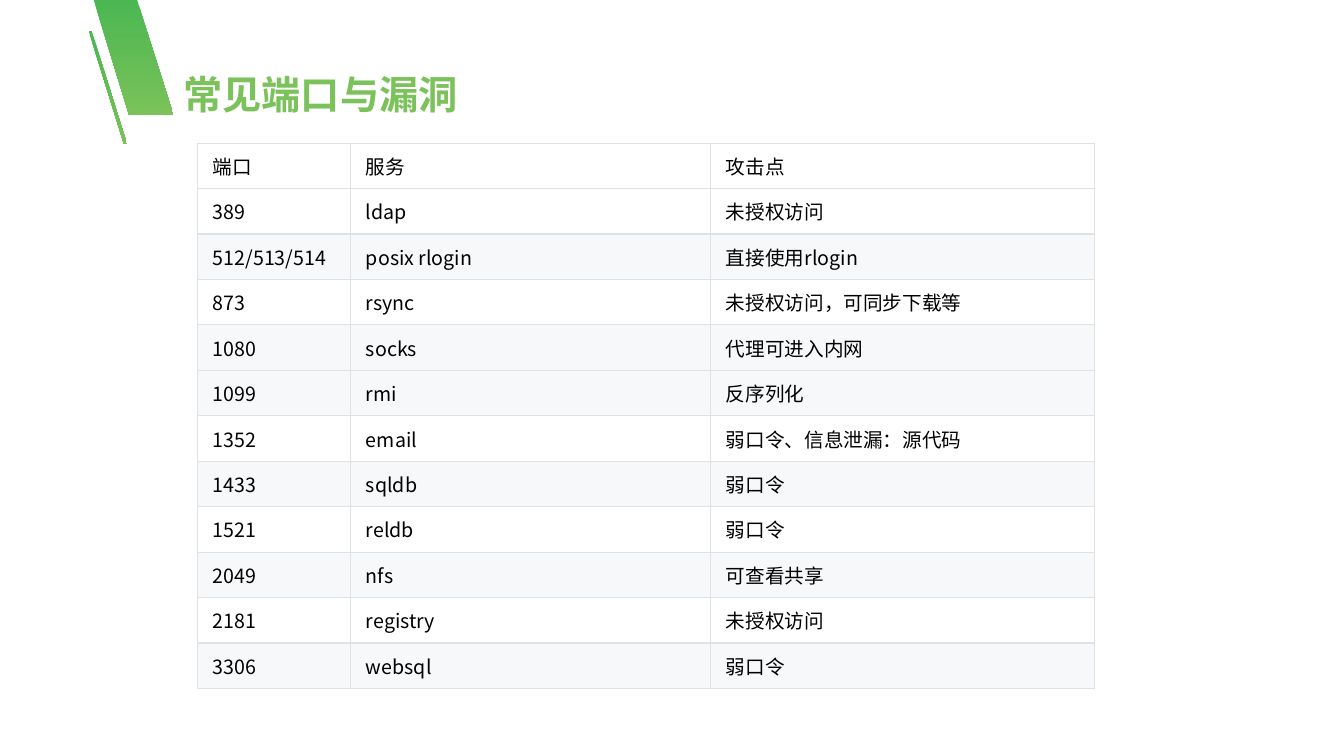
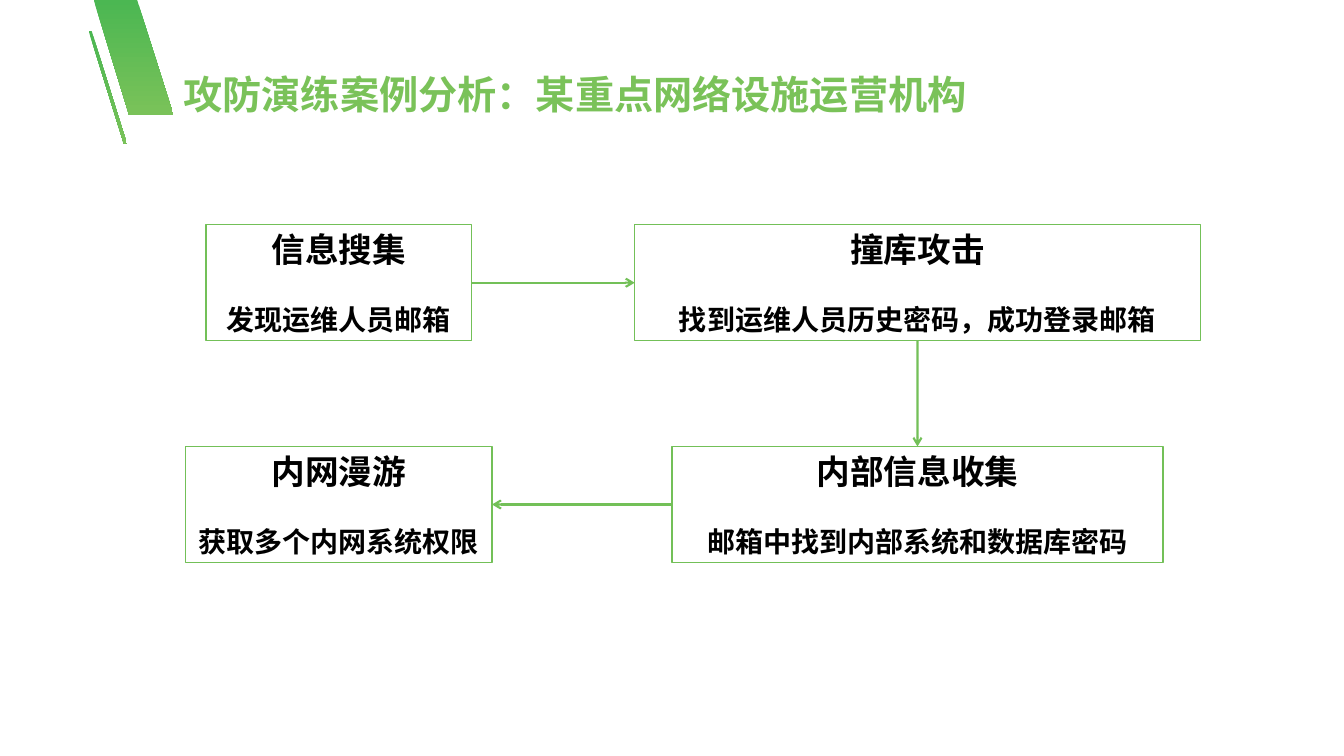
from lxml import etree
from pptx import Presentation
from pptx.dml.color import RGBColor
from pptx.enum import shapes, text
from pptx.oxml import ns
from pptx.util import Inches, Pt

FONT = "Noto Sans CJK SC"
TITLE_GREEN = "7AC259"
TOP_GREEN = "4BB752"
FLOW_GREEN = "73C058"
BLACK = "000000"
WHITE = "FFFFFF"
SHADE = "F6F8FA"
BORDER = "DFE2E5"

STRIPES = [
    [(1.72, 1.14), (1.36, 0), (0.93, 0), (1.28, 1.14)],
    [(1.26, 1.43), (0.91, 0.31), (0.88, 0.31), (1.23, 1.43)],
]

PORTS = [
    ("端口", "服务", "攻击点"),
    ("389", "ldap", "未授权访问"),
    ("512/513/514", "posix rlogin", "直接使用rlogin"),
    ("873", "rsync", "未授权访问，可同步下载等"),
    ("1080", "socks", "代理可进入内网"),
    ("1099", "rmi", "反序列化"),
    ("1352", "email", "弱口令、信息泄漏：源代码"),
    ("1433", "sqldb", "弱口令"),
    ("1521", "reldb", "弱口令"),
    ("2049", "nfs", "可查看共享"),
    ("2181", "registry", "未授权访问"),
    ("3306", "websql", "弱口令"),
]
SHADED_ROWS = {2, 4, 5, 7, 9, 11}
COLUMN_WIDTHS = [1.52, 3.57, 3.81]

LEFT_CENTER, RIGHT_CENTER = 3.36, 9.1
TOP_ROW, BOTTOM_ROW = 2.23, 4.43
BOX_HEIGHT = 1.15
# Center x, top, width, heading, detail
STEPS = [
    (LEFT_CENTER, TOP_ROW, 2.63, "信息搜集", "发现运维人员邮箱"),
    (RIGHT_CENTER, TOP_ROW, 5.61, "撞库攻击", "找到运维人员历史密码，成功登录邮箱"),
    (RIGHT_CENTER, BOTTOM_ROW, 4.87, "内部信息收集", "邮箱中找到内部系统和数据库密码"),
    (LEFT_CENTER, BOTTOM_ROW, 3.04, "内网漫游", "获取多个内网系统权限"),
]
# Connection sites: 0 top, 1 left, 2 bottom, 3 right
STEP_SITES = [(3, 1), (2, 0), (1, 3)]


def rgb(value):
    return RGBColor.from_string(value)


def add_xml(parent, tag, **attributes):
    return etree.SubElement(parent, ns.qn(tag), attributes)


def format_para(para, size, color=BLACK, bold=False):
    """Style every run, using the same font for Latin and Chinese."""
    for span in para.runs:
        span.font.size = Pt(size)
        span.font.bold = bold
        span.font.color.rgb = rgb(color)
        span.font.name = FONT
        add_xml(span._r.get_or_add_rPr(), "a:ea", typeface=FONT)


def add_stripes(page):
    """Draw the green corner stripes and move them to the page's layout."""
    anchor = page.slide_layout.placeholders[0].element
    for points in STRIPES:
        corners = [(Inches(x), Inches(y)) for x, y in points]
        builder = page.shapes.build_freeform(*corners[0])
        builder.add_line_segments(corners[1:], close=True)
        stripe = builder.convert_to_shape()
        stripe.shadow.inherit = False
        stripe.line.fill.background()
        stripe.fill.gradient()
        stripe.fill.gradient_angle = 270
        for stop, color in zip(stripe.fill.gradient_stops, (TOP_GREEN, TITLE_GREEN)):
            stop.color.rgb = rgb(color)
        anchor.addprevious(stripe.element)


def add_page(deck, title):
    page = deck.slides.add_slide(deck.slide_layouts[5])
    box = page.shapes.title
    box.left, box.top = Inches(1.72), Inches(0.65)
    box.width, box.height = Inches(9.1), Inches(0.57)
    frame = box.text_frame
    frame.text = title
    frame.auto_size = text.MSO_AUTO_SIZE.NONE
    frame.vertical_anchor = text.MSO_ANCHOR.MIDDLE
    para = frame.paragraphs[0]
    para.alignment = text.PP_ALIGN.LEFT
    format_para(para, 28, TITLE_GREEN, bold=True)
    return page


def set_borders(cell):
    properties = cell._tc.get_or_add_tcPr()
    for side in ("a:lnL", "a:lnR", "a:lnT", "a:lnB"):
        line = add_xml(properties, side, w=str(Pt(1)))
        add_xml(add_xml(line, "a:solidFill"), "a:srgbClr", val=BORDER)


def fill_cell(cell, content, color):
    set_borders(cell)
    cell.fill.solid()
    cell.fill.fore_color.rgb = rgb(color)
    cell.vertical_anchor = text.MSO_ANCHOR.MIDDLE
    cell.margin_left = cell.margin_right = Inches(0.15)
    cell.margin_top = cell.margin_bottom = Inches(0.07)
    cell.text_frame.text = content
    format_para(cell.text_frame.paragraphs[0], 14)


def add_port_table(page):
    table = page.shapes.add_table(
        len(PORTS), len(COLUMN_WIDTHS),
        Inches(1.96), Inches(1.42), Inches(sum(COLUMN_WIDTHS)), Inches(5.41),
    ).table
    table.first_row = table.horz_banding = False
    for column, width in zip(table.columns, COLUMN_WIDTHS):
        column.width = Inches(width)
    for row, values in enumerate(PORTS):
        color = SHADE if row in SHADED_ROWS else WHITE
        for column, value in enumerate(values):
            fill_cell(table.cell(row, column), value, color)


def add_step(page, center, top, width, heading, detail):
    box = page.shapes.add_shape(
        shapes.MSO_SHAPE.RECTANGLE,
        Inches(center - width / 2), Inches(top), Inches(width), Inches(BOX_HEIGHT),
    )
    box.shadow.inherit = False
    box.fill.background()
    box.line.color.rgb = rgb(FLOW_GREEN)
    box.line.width = Pt(1)
    frame = box.text_frame
    frame.word_wrap = True
    frame.vertical_anchor = text.MSO_ANCHOR.MIDDLE
    frame.text = f"{heading}\n{detail}"
    for para, size in zip(frame.paragraphs, (24, 20)):
        para.alignment = text.PP_ALIGN.CENTER
        format_para(para, size, bold=True)
    frame.paragraphs[1].space_before = Pt(24)
    return box


def add_arrow(page, start, start_site, end, end_site):
    arrow = page.shapes.add_connector(shapes.MSO_CONNECTOR.STRAIGHT, 0, 0, 0, 0)
    arrow.begin_connect(start, start_site)
    arrow.end_connect(end, end_site)
    arrow.line.color.rgb = rgb(FLOW_GREEN)
    arrow.line.width = Pt(1.5)
    add_xml(arrow.line._get_or_add_ln(), "a:tailEnd", type="arrow")
    add_xml(arrow.element.spPr, "a:effectLst")


def add_attack_flow(page):
    boxes = [add_step(page, *step) for step in STEPS]
    for start, end, (start_site, end_site) in zip(boxes, boxes[1:], STEP_SITES):
        add_arrow(page, start, start_site, end, end_site)


def main():
    deck = Presentation()
    deck.slide_width, deck.slide_height = Inches(13.33), Inches(7.5)
    ports = add_page(deck, "常见端口与漏洞")
    add_stripes(ports)
    add_port_table(ports)
    add_attack_flow(add_page(deck, "攻防演练案例分析：某重点网络设施运营机构"))
    deck.save("out.pptx")


if __name__ == "__main__":
    main()
